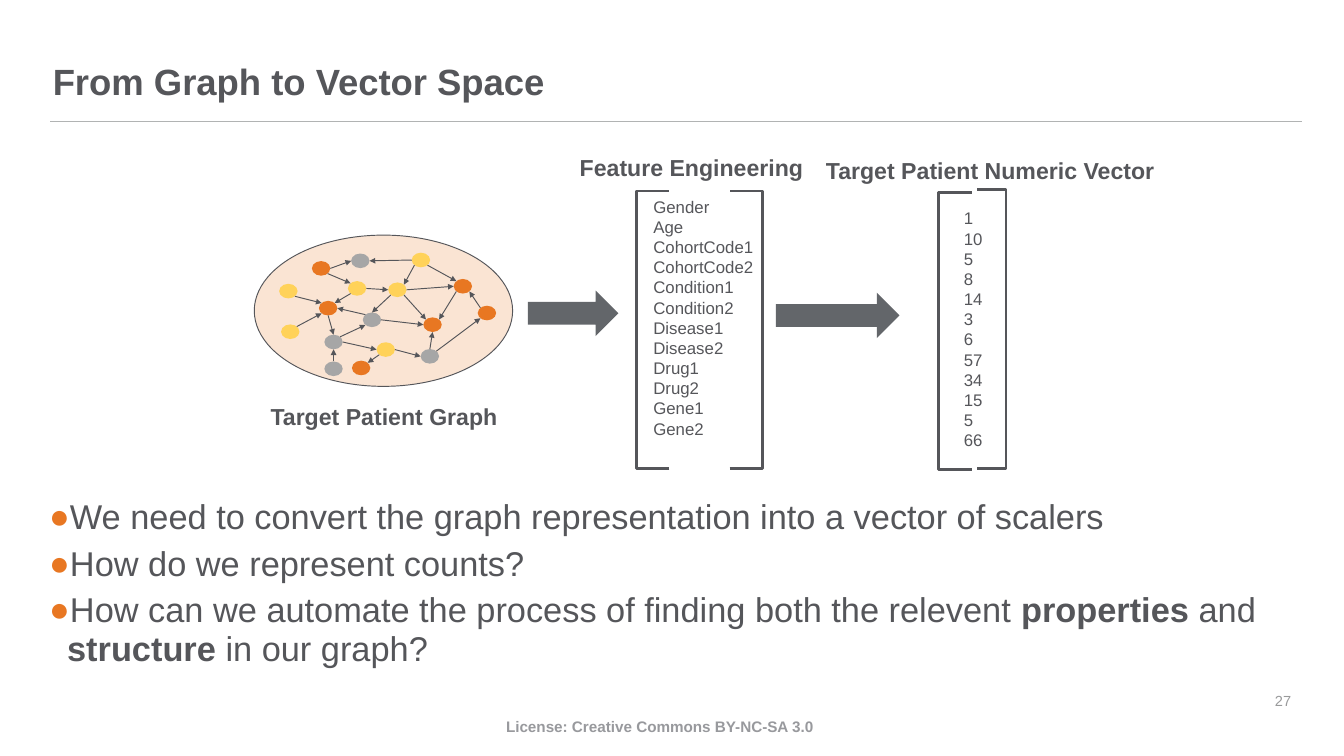
from math import cos, radians, sin

from lxml import etree
from pptx import Presentation
from pptx.dml.color import RGBColor
from pptx.enum.shapes import MSO_CONNECTOR, MSO_SHAPE
from pptx.enum.text import MSO_ANCHOR, MSO_AUTO_SIZE, PP_ALIGN
from pptx.oxml.ns import qn
from pptx.util import Cm, Pt

LEFT, CENTER, RIGHT = PP_ALIGN.LEFT, PP_ALIGN.CENTER, PP_ALIGN.RIGHT
TOP, MIDDLE = MSO_ANCHOR.TOP, MSO_ANCHOR.MIDDLE
OVAL, ARROW, BRACKET = MSO_SHAPE.OVAL, MSO_SHAPE.RIGHT_ARROW, MSO_SHAPE.LEFT_BRACKET
STRAIGHT = MSO_CONNECTOR.STRAIGHT


class Theme:
    font = "Arial"
    text, rule, footer, number = "55565A", "B1B3B3", "98999D", "999A9B"
    orange, yellow, gray = "E87722", "FFD259", "A6A6A6"
    cloud, arrow = "FAE4D3", "63666A"
    title_size, body_size, label_size = 38.2, 36, 24.2
    list_size, footer_size, number_size = 17.6, 16, 15.3


class SlideBuilder:
    def __init__(self, slide, theme):
        self.s, self.t = slide, theme

    def fill_text(self, tf, paragraphs, size, color=None, bold=False, para=None, bullet=None):
        """Each paragraph is a list of (text, bold) runs or one string."""
        for i, runs in enumerate(paragraphs):
            p = tf.paragraphs[0] if i == 0 else tf.add_paragraph()
            for name, value in (para or {}).items():
                setattr(p, name, value)
            if bullet:
                self.add_bullet(p, bullet)
            for text, strong in [(runs, bold)] if isinstance(runs, str) else runs:
                r = p.add_run()
                r.text = text
                style = {"name": self.t.font, "size": Pt(size), "bold": strong}
                for name, value in style.items():
                    setattr(r.font, name, value)
                r.font.color.rgb = RGBColor.from_string(color or self.t.text)

    def add_bullet(self, p, char):
        pPr = p._p.get_or_add_pPr()
        pPr.set("marL", str(Cm(0.66)))
        pPr.set("indent", str(Cm(-0.66)))
        color = etree.SubElement(pPr, qn("a:buClr"))
        etree.SubElement(color, qn("a:srgbClr"), val=self.t.orange)
        etree.SubElement(pPr, qn("a:buFont"), typeface=self.t.font)
        etree.SubElement(pPr, qn("a:buChar"), char=char)

    def placeholder(self, idx, box, paragraphs, size, **style):
        sp = self.s.placeholders[idx]
        sp.left, sp.top, sp.width, sp.height = map(Cm, box)
        tf = sp.text_frame
        frame = {"vertical_anchor": TOP, "auto_size": MSO_AUTO_SIZE.NONE, "word_wrap": True}
        margins = dict.fromkeys(
            ("margin_left", "margin_right", "margin_top", "margin_bottom"), Cm(0.25))
        for name, value in {**frame, **margins}.items():
            setattr(tf, name, value)
        self.fill_text(tf, paragraphs, size, **style)

    def text(self, box, paragraphs, size, wrap=True, anchor=TOP, **style):
        tf = self.s.shapes.add_textbox(*map(Cm, box)).text_frame
        tf.word_wrap, tf.vertical_anchor = wrap, anchor
        self.fill_text(tf, paragraphs, size, **style)

    def shape(self, kind, box, fill=None, line=None, width=1):
        sp = self.s.shapes.add_shape(kind, *map(Cm, box))
        sp.shadow.inherit = False
        if fill:
            sp.fill.solid()
            sp.fill.fore_color.rgb = RGBColor.from_string(fill)
        else:
            sp.fill.background()
        if line:
            sp.line.color.rgb = RGBColor.from_string(line)
            sp.line.width = Pt(width)
        else:
            sp.line.fill.background()
        return sp

    def bracket(self, box, flip=False):
        sp = self.shape(BRACKET, box, line=self.t.text, width=3)
        sp.adjustments[0] = 0
        if flip:
            sp._element.spPr.find(qn("a:xfrm")).set("flipH", "1")

    def line(self, start, end, color, arrow=False):
        c = self.s.shapes.add_connector(STRAIGHT, *map(Cm, (*start, *end)))
        c.line.color.rgb = RGBColor.from_string(color)
        c.line.width = Pt(1)
        if arrow:
            etree.SubElement(c.line._get_or_add_ln(), qn("a:tailEnd"), type="triangle")
        etree.SubElement(c._element.spPr, qn("a:effectLst"))

    def graph(self, nodes, edges, rx=0.34, ry=0.27):
        """Draw nodes by centre; edges join compass points on their rims."""
        colors = {"y": self.t.yellow, "o": self.t.orange, "g": self.t.gray}
        for name, (x, y) in nodes.items():
            self.shape(OVAL, (x - rx, y - ry, 2 * rx, 2 * ry), colors[name[0]])

        def rim(name, side):
            angle = radians(45 * COMPASS.index(side))
            x, y = nodes[name]
            return x + rx * cos(angle), y + ry * sin(angle)

        for edge in edges:
            a, a_side, b, b_side = edge.split()
            self.line(rim(a, a_side), rim(b, b_side), self.t.text, arrow=True)


COMPASS = ["E", "SE", "S", "SW", "W", "NW", "N", "NE"]

# Node names start with their colour: y(ellow), o(range), g(ray)
NODES = {
    "y1": (15.56, 9.61), "y2": (14.69, 10.71), "y3": (14.26, 12.92),
    "y4": (13.2, 10.66), "y5": (10.66, 10.76), "y6": (10.73, 12.26),
    "o1": (17.11, 10.58), "o2": (15.99, 12), "o3": (18, 11.57),
    "o4": (12.13, 11.39), "o5": (13.35, 13.6), "o6": (11.87, 9.92),
    "g1": (13.75, 11.82), "g2": (15.89, 13.17), "g3": (13.32, 9.64),
    "g4": (12.33, 12.64), "g5": (12.33, 13.63),
}
EDGES = [
    "y1 SE o1 NW", "y1 SW y2 NE", "y1 W g3 E", "y2 SE o2 NW", "y2 E o1 W",
    "y2 SW g1 N", "y3 E g2 W", "y3 SW o5 NE", "y4 E y2 W", "y4 SW o4 NE",
    "y5 SE o4 NW", "y6 NE o4 SW", "o1 SW o2 NE", "o3 NW o1 SE", "o4 S g4 N",
    "o6 E g3 W", "o6 SE y4 NW", "g1 E o2 W", "g1 NW o4 E", "g2 N o2 S",
    "g2 NE o3 SW", "g4 NE g1 SW", "g4 E y3 W", "g5 N g4 S",
]
FEATURES = ["Gender", "Age", "CohortCode1", "CohortCode2", "Condition1", "Condition2",
            "Disease1", "Disease2", "Drug1", "Drug2", "Gene1", "Gene2"]
COUNTS = ["1", "10", "5", "8", "14", "3", "6", "57", "34", "15", "5", "66"]
POINTS = [
    "We need to convert the graph representation into a vector of scalers",
    "How do we represent counts?",
    [("How can we automate the process of finding both the relevent ", False),
     ("properties", True), (" and ", False), ("structure", True),
     (" in our graph?", False)],
]


def main():
    prs = Presentation()
    prs.slide_width, prs.slide_height = Cm(49.68), Cm(27.94)
    t = Theme()
    b = SlideBuilder(prs.slides.add_slide(prs.slide_layouts[1]), t)

    # Title, rule and footer
    b.line((1.85, 4.5), (48.11, 4.5), t.rule)
    b.placeholder(0, (1.7, 2.13, 46.28, 2.26), ["From Graph to Vector Space"], t.title_size,
                  bold=True, para={"alignment": LEFT, "line_spacing": 0.9})
    b.text((14.6, 26.39, 19.58, 0.94), ["License: Creative Commons BY-NC-SA 3.0"],
           t.footer_size, color=t.footer, bold=True, para={"alignment": CENTER})
    b.text((45.01, 24.82, 2.97, 2.13), ["27"], t.number_size, color=t.number,
           anchor=MIDDLE, para={"alignment": RIGHT})

    # Bullet list
    b.placeholder(1, (1.57, 18.16, 46.28, 7.14), POINTS, t.body_size, bullet="●",
                  para={"line_spacing": 0.95, "space_before": Pt(0), "space_after": Pt(7.7)})

    # Patient graph
    b.shape(OVAL, (9.4, 8.69, 9.55, 5.59), t.cloud, t.text)
    b.graph(NODES, EDGES)

    # Feature list and numeric vector between brackets
    for box, flip in [((23.52, 7.06, 1.22, 10.24), False), ((26.97, 7.06, 1.22, 10.24), True),
                      ((34.7, 7.11, 1.22, 10.24), False), ((36.12, 7.01, 1.07, 10.29), True)]:
        b.bracket(box, flip)
    b.text((23.9, 7.14, 4.8, 9.3), FEATURES, t.list_size)
    b.text((35.38, 7.57, 1.32, 9.3), COUNTS, t.list_size)

    # Arrows between the stages
    b.shape(ARROW, (19.51, 10.74, 3.35, 1.68), t.arrow)
    b.shape(ARROW, (28.68, 10.82, 4.57, 1.68), t.arrow)

    # Stage labels
    for box, label in [((9.75, 14.76, 8.97, 1.3), "Target Patient Graph"),
                       ((30.28, 5.66, 12.75, 1.3), "Target Patient Numeric Vector"),
                       ((21.18, 5.56, 8.84, 1.3), "Feature Engineering")]:
        b.text(box, [label], t.label_size, wrap=False, bold=True)

    prs.save("out.pptx")


if __name__ == "__main__":
    main()
